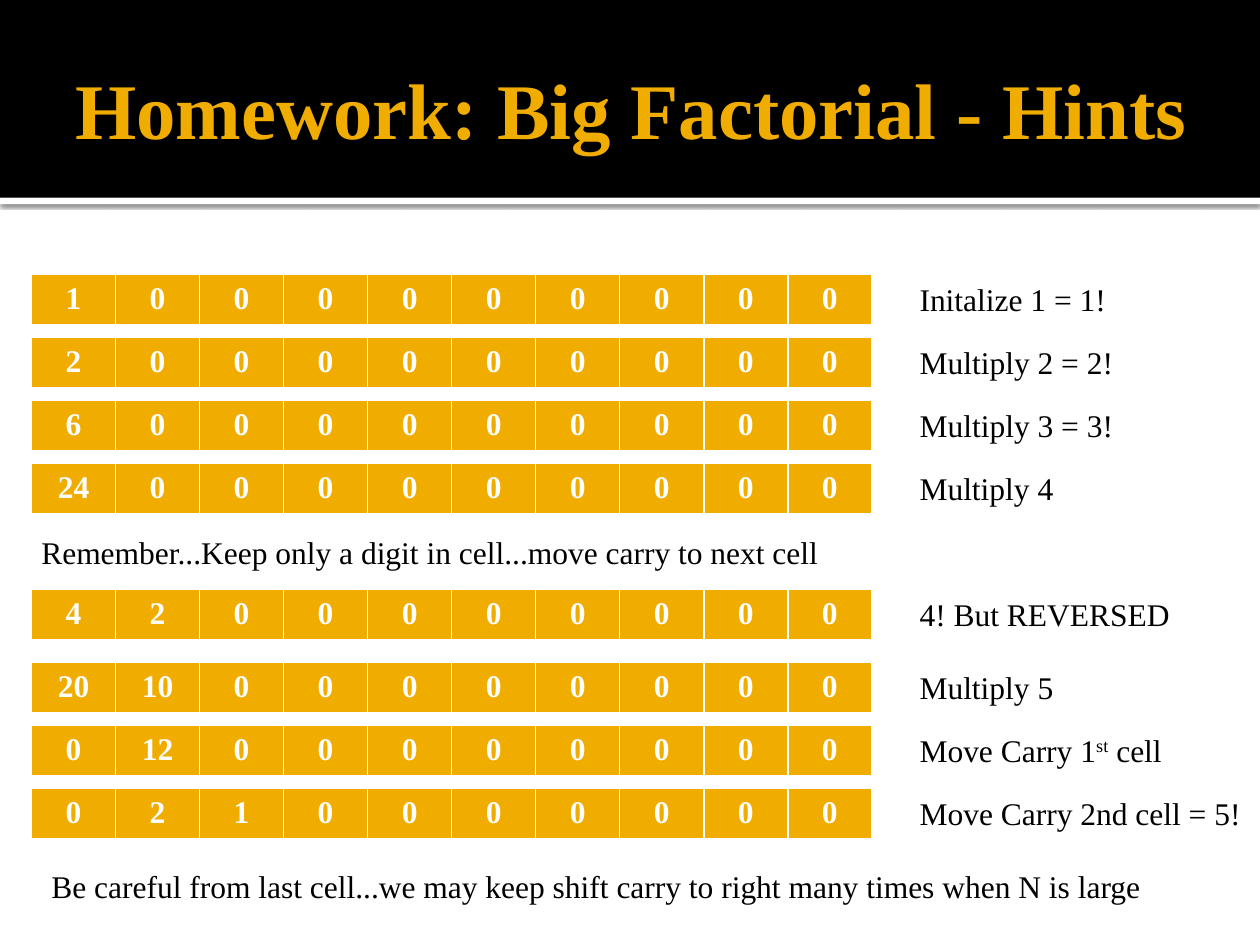
from lxml import etree
from pptx import Presentation
from pptx.dml.color import RGBColor
from pptx.enum.shapes import MSO_SHAPE
from pptx.enum.text import MSO_ANCHOR, MSO_AUTO_SIZE, PP_ALIGN
from pptx.oxml.ns import qn
from pptx.util import Inches, Pt

RECTANGLE = MSO_SHAPE.RECTANGLE
MIDDLE = MSO_ANCHOR.MIDDLE
CENTER = PP_ALIGN.CENTER
GROW = MSO_AUTO_SIZE.SHAPE_TO_FIT_TEXT

FONT = "Times New Roman"
GOLD, WHITE, BLACK = "F0AD00", "FFFFFF", "000000"
SLIDE_WIDTH, SLIDE_HEIGHT = 10, 7.5
HEADER_HEIGHT, RULE_HEIGHT = 1.57, 0.05
GRID_LEFT, GRID_TOP, GRID_WIDTH = 0.25, 2.18, 6.67
ROW_PITCH, ROW_HEIGHT, CELLS = 0.5, 0.41, 10
LABEL_LEFT, LABEL_RISE, LABEL_HEIGHT = 7.2, 0.01, 0.4
BORDERS = (("a:lnL", 1), ("a:lnR", 1), ("a:lnT", 1), ("a:lnB", 3))

STEPS = [
    (0, [1], "Initalize 1 = 1!", 1.7),
    (1, [2], "Multiply 2 = 2!", 1.75),
    (2, [6], "Multiply 3 = 3!", 1.75),
    (3, [24], "Multiply 4", 1.27),
    (5, [4, 2], "4! But REVERSED", 2.21),
    (6.16, [20, 10], "Multiply 5", 1.27),
    (7.16, [0, 12], "Move Carry 1^st^ cell", 2.16),
    (8.16, [0, 2, 1], "Move Carry 2nd cell = 5!", 2.78),
]
NOTES = [
    (4.02, 0.23, 6.44,
     "Remember...Keep only a digit in cell...move carry to next cell"),
    (9.32, 0.31, 8.94,
     "Be careful from last cell...we may keep shift carry to right many "
     "times when N is large"),
]


def color(value):
    """Turn a hex string into a colour."""
    return RGBColor.from_string(value)


def row_top(slot):
    """Give the top of a grid row in inches."""
    return GRID_TOP + slot * ROW_PITCH


def style(span, size, value, bold=False):
    """Set the font of a run."""
    span.font.name = FONT
    span.font.size = Pt(size)
    span.font.bold = bold
    span.font.color.rgb = color(value)


def add_band(page, top, height, value):
    """Add a full-width filled band."""
    band = page.shapes.add_shape(
        RECTANGLE, 0, Inches(top), Inches(SLIDE_WIDTH), Inches(height))
    band.shadow.inherit = False
    band.fill.solid()
    band.fill.fore_color.rgb = color(value)
    band.line.fill.background()
    return band


def add_shadow(band):
    """Cast a soft shadow below a band."""
    effects = band._element.spPr.find(qn("a:effectLst"))
    shadow = etree.SubElement(
        effects, qn("a:outerShdw"), blurRad=str(Pt(2.5)), dist=str(Pt(0.8)),
        dir="5400000", algn="tl", rotWithShape="0")
    tint = etree.SubElement(shadow, qn("a:srgbClr"), val=BLACK)
    etree.SubElement(tint, qn("a:alpha"), val="60000")


def add_title(page, text):
    """Add the slide title inside the header band."""
    box = page.shapes.add_textbox(
        Inches(0.5), Inches(0.17), Inches(9), Inches(1.37))
    frame = box.text_frame
    frame.word_wrap = True
    frame.vertical_anchor = MIDDLE
    frame.margin_right = Inches(0.05)
    frame.text = text
    style(frame.paragraphs[0].runs[0], 45, GOLD, True)


def add_label(page, left, top, width, text):
    """Add a one-line text whose parts between carets are superscript."""
    box = page.shapes.add_textbox(
        Inches(left), Inches(top), Inches(width), Inches(LABEL_HEIGHT))
    frame = box.text_frame
    frame.word_wrap = False
    frame.auto_size = GROW
    for index, piece in enumerate(text.split("^")):
        span = frame.paragraphs[0].add_run()
        span.text = piece
        style(span, 18, BLACK)
        if index % 2:
            span.font._element.set("baseline", "30000")


def format_cell(cell, text):
    """Fill, border and label one array cell."""
    properties = cell._tc.get_or_add_tcPr()
    for tag, width in BORDERS:
        border = etree.SubElement(properties, qn(tag), w=str(Pt(width)))
        fill = etree.SubElement(border, qn("a:solidFill"))
        etree.SubElement(fill, qn("a:srgbClr"), val=WHITE)
    cell.fill.solid()
    cell.fill.fore_color.rgb = color(GOLD)
    cell.text = text
    para = cell.text_frame.paragraphs[0]
    para.alignment = CENTER
    style(para.runs[0], 18, WHITE, True)


def add_array(page, top, digits):
    """Add a one-row table of digits padded with zeros."""
    table = page.shapes.add_table(
        1, CELLS, Inches(GRID_LEFT), Inches(top),
        Inches(GRID_WIDTH), Inches(ROW_HEIGHT)).table
    table.horz_banding = False
    padded = digits + [0] * (CELLS - len(digits))
    for column, digit in enumerate(padded):
        format_cell(table.cell(0, column), str(digit))


def main():
    """Build and save the slide."""
    deck = Presentation()
    deck.slide_width = Inches(SLIDE_WIDTH)
    deck.slide_height = Inches(SLIDE_HEIGHT)
    page = deck.slides.add_slide(deck.slide_layouts[6])
    add_shadow(add_band(page, HEADER_HEIGHT, RULE_HEIGHT, WHITE))
    add_band(page, 0, HEADER_HEIGHT, BLACK)
    add_title(page, "Homework: Big Factorial - Hints")
    for slot, digits, text, width in STEPS:
        top = row_top(slot)
        add_array(page, top, digits)
        add_label(page, LABEL_LEFT, top - LABEL_RISE, width, text)
    for slot, left, width, text in NOTES:
        add_label(page, left, row_top(slot) - LABEL_RISE, width, text)
    deck.save("out.pptx")


if __name__ == "__main__":
    main()
